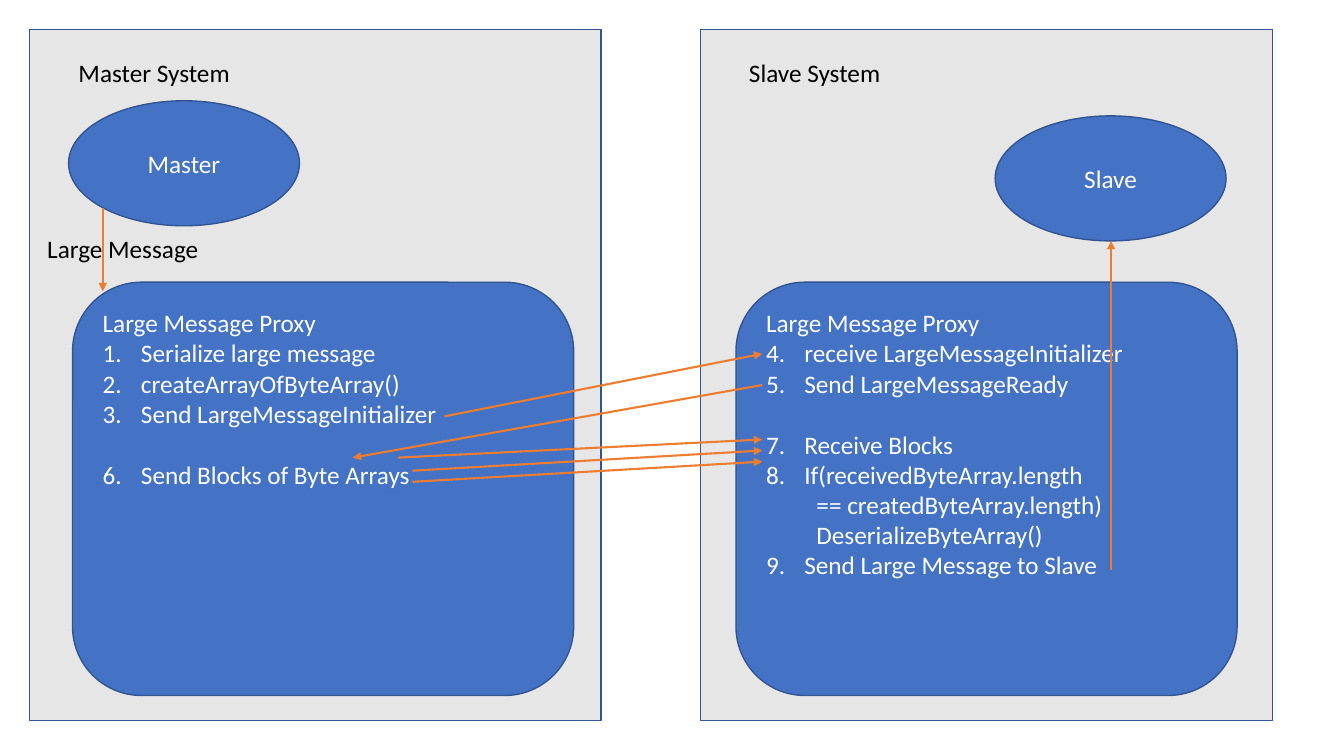
"""Draw how a large message travels between a master and a slave system."""
from dataclasses import dataclass
from typing import NamedTuple, Optional

from lxml import etree
from pptx import Presentation
from pptx import util as u
from pptx.dml import color
from pptx.enum import shapes, text
from pptx.oxml import ns


@dataclass(frozen=True)
class Theme:
    """Colours, font and sizes of the slide."""
    panel: color.RGBColor = color.RGBColor(0xE7, 0xE6, 0xE6)
    node: color.RGBColor = color.RGBColor(0x44, 0x72, 0xC4)
    outline: color.RGBColor = color.RGBColor(0x32, 0x54, 0x91)
    arrow: color.RGBColor = color.RGBColor(0xED, 0x7D, 0x31)
    dark: color.RGBColor = color.RGBColor(0, 0, 0)
    light: color.RGBColor = color.RGBColor(0xFF, 0xFF, 0xFF)
    font: str = "Calibri"
    size: u.Pt = u.Pt(18)
    text_line: u.Pt = u.Pt(22)
    outline_width: u.Pt = u.Pt(1)
    arrow_width: u.Pt = u.Pt(1.5)


class Area(NamedTuple):
    """A rectangle in grid columns and rows."""
    left: float
    top: float
    width: float
    height: float


class Arrow(NamedTuple):
    """A straight arrow in grid columns and rows."""
    from_column: float
    from_row: float
    to_column: float
    to_row: float


class Step(NamedTuple):
    """A proxy line: numbered from start, or a continuation when start is None."""
    wording: str
    start: Optional[int]
    gap: bool = False


@dataclass(frozen=True)
class System:
    """One side of the exchange."""
    role: str
    panel_left: float
    title_left: float
    oval_left: float
    oval_top: float
    proxy_left: float
    steps: tuple[Step, ...]


THEME = Theme()
SLIDE_WIDTH, SLIDE_HEIGHT = u.Inches(13.33), u.Inches(7.5)
COLUMN, ROW = SLIDE_WIDTH / 13.33, SLIDE_HEIGHT / 7.5
NUMBER_INDENT, CONTINUATION_INDENT = u.Inches(0.38), u.Inches(0.5)
PROXY_ENTRY = 7.56

SYSTEMS = (
    System("Master", 0.29, 0.68, 0.68, 1, 0.72, (
        Step("Serialize large message", 1),
        Step("createArrayOfByteArray()", 1),
        Step("Send LargeMessageInitializer", 1),
        Step("Send Blocks of Byte Arrays", 6, gap=True),
    )),
    System("Slave", 6.95, 7.33, 9.87, 1.15, 7.3, (
        Step("receive LargeMessageInitializer", 4),
        Step("Send LargeMessageReady", 4),
        Step("Receive Blocks", 7, gap=True),
        Step("If(receivedByteArray.length", 7),
        Step("== createdByteArray.length)", None),
        Step("DeserializeByteArray()", None),
        Step("Send Large Message to Slave", 7),
    )),
)

ARROWS = (
    Arrow(1.02, 2.06, 1.02, 2.89),
    Arrow(4.41, 4.13, PROXY_ENTRY, 3.51),
    Arrow(PROXY_ENTRY, 3.82, 3.5, 4.54),
    Arrow(3.95, 4.54, PROXY_ENTRY, 4.36),
    Arrow(4.09, 4.67, PROXY_ENTRY, 4.47),
    Arrow(4.09, 4.78, PROXY_ENTRY, 4.58),
    Arrow(11.02, 5.65, 11.02, 2.39),
)


def place(area):
    """Convert a grid area to slide lengths."""
    return (u.Emu(round(area.left * COLUMN)), u.Emu(round(area.top * ROW)),
            u.Emu(round(area.width * COLUMN)), u.Emu(round(area.height * ROW)))


def write(para, wording: str, ink: color.RGBColor, align=text.PP_ALIGN.LEFT) -> None:
    """Fill a paragraph in the theme's font."""
    para.text = wording
    para.alignment = align
    para.font.name = THEME.font
    para.font.size = THEME.size
    para.font.color.rgb = ink


def add_box(page, kind: shapes.MSO_SHAPE, area: Area, fill: color.RGBColor):
    """Add an outlined preset shape."""
    box = page.shapes.add_shape(kind, *place(area))
    box.shadow.inherit = False
    box.fill.solid()
    box.fill.fore_color.rgb = fill
    box.line.color.rgb = THEME.outline
    box.line.width = THEME.outline_width
    return box


def add_label(page, wording: str, area: Area) -> None:
    """Add a dark text label."""
    frame = page.shapes.add_textbox(*place(area)).text_frame
    frame.word_wrap = True
    frame.auto_size = text.MSO_AUTO_SIZE.SHAPE_TO_FIT_TEXT
    write(frame.paragraphs[0], wording, THEME.dark)


def add_step(frame, step: Step) -> None:
    """Append a numbered or continuation line to a proxy."""
    para = frame.add_paragraph()
    write(para, step.wording, THEME.light)
    if step.gap:
        para.space_before = THEME.text_line
    properties = para._p.get_or_add_pPr()
    if step.start is None:
        para.level = 1
        properties.set("marL", str(CONTINUATION_INDENT))
        properties.set("indent", "0")
        return
    properties.set("marL", str(NUMBER_INDENT))
    properties.set("indent", str(-NUMBER_INDENT))
    number = etree.Element(ns.qn("a:buAutoNum"), type="arabicPeriod", startAt=str(step.start))
    properties.find(ns.qn("a:defRPr")).addprevious(number)


def add_system(page, system: System) -> None:
    """Add a system's panel, title, actor and proxy."""
    add_box(page, shapes.MSO_SHAPE.RECTANGLE, Area(system.panel_left, 0.29, 5.67, 6.86), THEME.panel)
    add_label(page, f"{system.role} System", Area(system.title_left, 0.52, 3.41, 0.4))
    oval = add_box(page, shapes.MSO_SHAPE.OVAL,
                   Area(system.oval_left, system.oval_top, 2.29, 1.24), THEME.node)
    write(oval.text_frame.paragraphs[0], system.role, THEME.light, text.PP_ALIGN.CENTER)
    proxy = add_box(page, shapes.MSO_SHAPE.ROUNDED_RECTANGLE,
                    Area(system.proxy_left, 2.8, 4.97, 4.1), THEME.node)
    frame = proxy.text_frame
    frame.vertical_anchor = text.MSO_ANCHOR.TOP
    write(frame.paragraphs[0], "Large Message Proxy", THEME.light)
    for step in system.steps:
        add_step(frame, step)


def add_arrow(page, arrow: Arrow) -> None:
    """Add a connector with a triangular head at its end."""
    ends = place(Area(*arrow))
    line = page.shapes.add_connector(shapes.MSO_CONNECTOR.STRAIGHT, *ends)
    line.line.color.rgb = THEME.arrow
    line.line.width = THEME.arrow_width
    etree.SubElement(line.line._get_or_add_ln(), ns.qn("a:tailEnd"), type="triangle")
    etree.SubElement(line._element.spPr, ns.qn("a:effectLst"))


def main() -> None:
    """Build and save the deck."""
    deck = Presentation()
    deck.slide_width, deck.slide_height = SLIDE_WIDTH, SLIDE_HEIGHT
    page = deck.slides.add_slide(deck.slide_layouts.get_by_name("Blank"))
    for system in SYSTEMS:
        add_system(page, system)
    for arrow in ARROWS:
        add_arrow(page, arrow)
    add_label(page, "Large Message", Area(0.37, 2.27, 2.29, 0.4))
    deck.save("out.pptx")


if __name__ == "__main__":
    main()
